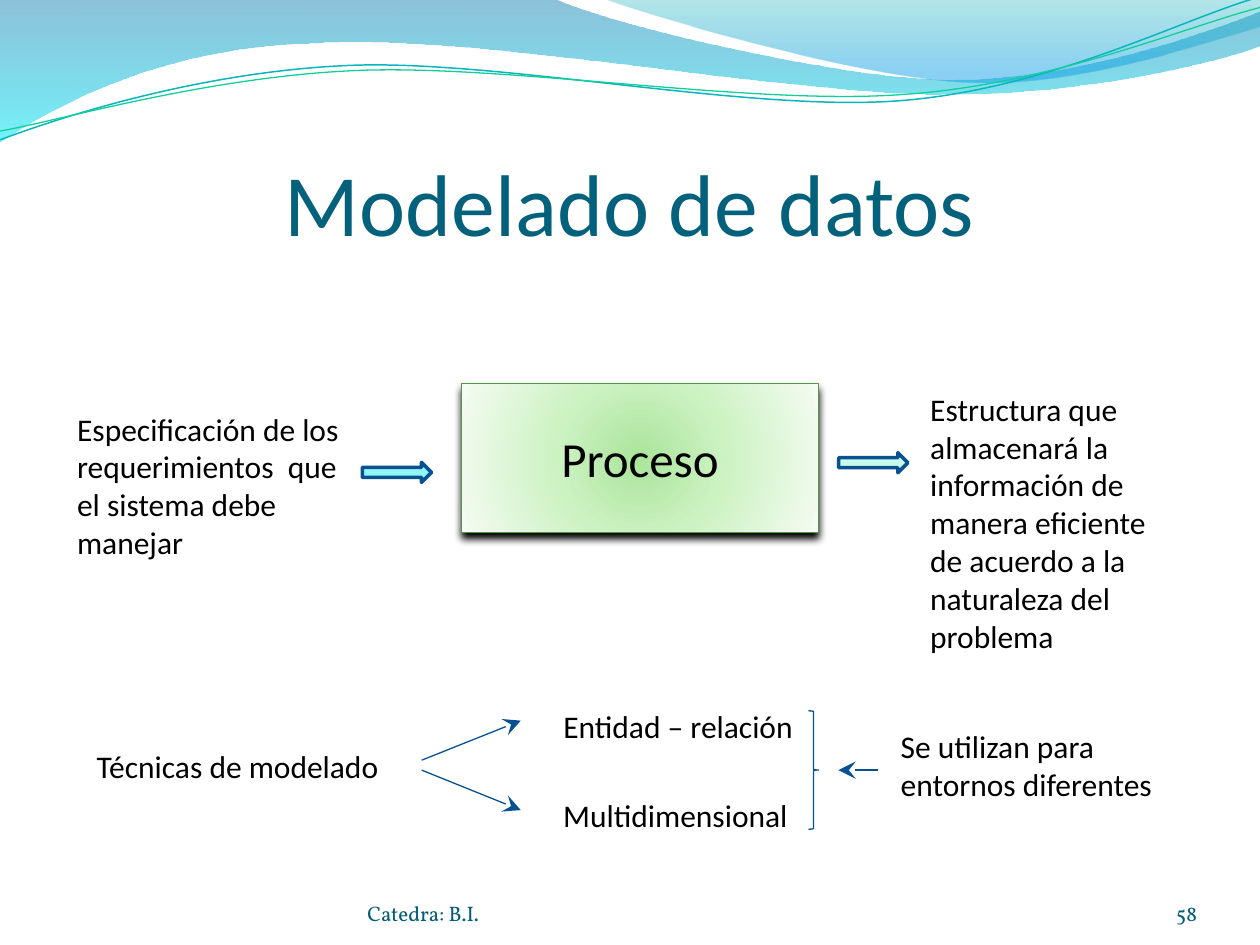
"""Builds the "Modelado de datos" slide."""
from dataclasses import dataclass
from math import cos, radians, sin
from typing import Optional

from lxml.etree import SubElement
from pptx import Presentation
from pptx.dml.color import RGBColor
from pptx.enum.shapes import MSO_CONNECTOR, MSO_SHAPE
from pptx.enum.text import MSO_ANCHOR, PP_ALIGN
from pptx.oxml.ns import qn
from pptx.util import Pt

BLACK = RGBColor(0x00, 0x00, 0x00)
TITLE_TEAL = RGBColor(0x04, 0x61, 0x7B)
FOOTER_TEAL = RGBColor(0x03, 0x5C, 0x75)
LINE_BLUE = RGBColor(0x07, 0x51, 0x92)
ARROW_EDGE = RGBColor(0x0A, 0x51, 0x90)
INPUT_FILL = RGBColor(0x92, 0xF6, 0xF9)
OUTPUT_FILL = RGBColor(0xC8, 0xFB, 0xEC)
PROCESS_EDGE = RGBColor(0x59, 0x94, 0x45)
WAVE_TEAL = RGBColor(0x09, 0xB6, 0xBE)
WAVE_GREEN = RGBColor(0x10, 0xCF, 0x9B)
DEEP_BLUE = RGBColor(0x00, 0x79, 0xAD)
CYAN = RGBColor(0x00, 0xE9, 0xF7)
TEAL = RGBColor(0x00, 0xAB, 0xB4)
SKY = RGBColor(0x00, 0x99, 0xE4)
GREEN_CORE = RGBColor(0xAB, 0xE4, 0x9C)
GREEN_MID = RGBColor(0xCC, 0xF2, 0xC2)
GREEN_PALE = RGBColor(0xEF, 0xFA, 0xEC)
GREEN_RIM = RGBColor(0xF7, 0xFF, 0xF7)

TILT = 357.3
INSETS = (7.2, 3.6, 7.2, 3.6)
FLUSH = (0, 0, 0, 0)


@dataclass
class Label:
    """Text with its frame and its look."""
    text: str
    left: float
    top: float
    width: float
    height: float
    size: float = 18
    font: str = "Calibri"
    color: RGBColor = BLACK
    align: PP_ALIGN = PP_ALIGN.LEFT
    anchor: MSO_ANCHOR = MSO_ANCHOR.TOP
    insets: tuple = INSETS


@dataclass
class Stop:
    """Gradient stop; position and opacity in percent."""
    position: float
    color: RGBColor
    opacity: float = 100


@dataclass
class Wave:
    """Outline whose pieces are lines (x, y) or cubic curves (six numbers)."""
    start: tuple
    pieces: list
    stops: Optional[list] = None
    color: Optional[RGBColor] = None
    weight: float = 0
    pivot: Optional[tuple] = None


@dataclass
class Arrow:
    """Thin arrow between two points."""
    start: tuple
    end: tuple


@dataclass
class Block:
    """Block arrow pointing right."""
    left: float
    top: float
    fill: RGBColor


WAVES = [
    Wave((0, 0), [
        (316.8, -0.7), (342.7, 12.2, 478.1, 45.4, 545.8, 45.4),
        (614.2, 45.4, 689.8, 18.7, 720, 6.5), (720.7, 25.9),
        (707.8, 31.7, 626.4, 54.7, 537.1, 54), (447.8, 54, 275, 20.2, 185, 24.5),
        (92.9, 25.9, 33.1, 59.8, -0.7, 81.4),
    ], stops=[Stop(0, DEEP_BLUE, 45), Stop(100, CYAN, 55)]),
    Wave((344.9, -0.7), [
        (366.5, 7.9, 491, 44.6, 553.7, 46.8),
        (616.3, 49.7, 691.9, 23, 720, 15.1), (720, 0),
    ], stops=[Stop(0, TEAL, 30), Stop(80, SKY, 45), Stop(100, SKY, 45)]),
    Wave((0, 79.9), [
        (34.6, 67, 113.8, 41, 199.4, 37.4), (284.4, 33.8, 427, 64.1, 513.4, 57.6),
        (599.8, 51.1, 675.4, 10.8, 718.6, -1.4),
    ], color=WAVE_TEAL, weight=0.85, pivot=(359.3, 41.4)),
    Wave((0, 74.9), [
        (33.8, 69.1, 118.1, 43.9, 203.8, 40.3), (290.2, 36.7, 429.8, 60.5, 516.2, 54),
        (601.9, 48.2, 677.5, 15.1, 720, 4.3),
    ], color=WAVE_GREEN, weight=0.75, pivot=(359.6, 42.5)),
]
FOOTER = dict(size=12, font="Vollkorn", color=FOOTER_TEAL,
              anchor=MSO_ANCHOR.BOTTOM, insets=FLUSH)
LABELS = [
    Label("Modelado de datos", 36, 55.4, 648, 90, 50, color=TITLE_TEAL,
          align=PP_ALIGN.CENTER, anchor=MSO_ANCHOR.BOTTOM, insets=(0, 3.6, 0, 0)),
    Label("Catedra: B.I.", 210, 500.4, 264.2, 28.8, **FOOTER),
    Label("58", 624.2, 500.4, 59.8, 28.8, align=PP_ALIGN.RIGHT, **FOOTER),
    Label("Especificación de los requerimientos  que el sistema debe manejar",
          37, 207.4, 175.7, 116.6, anchor=MSO_ANCHOR.BOTTOM),
    Label("Estructura que almacenará la información de manera eficiente "
          "de acuerdo a la naturaleza del problema", 524.5, 219.2, 158.4, 159.8),
    Label("Técnicas de modelado", 48.2, 423.4, 187.2, 28.8),
    Label("Entidad – relación", 314.8, 400.3, 164.2, 28.8),
    Label("Multidimensional", 314.8, 451.4, 158.4, 28.8),
    Label("Se utilizan para entornos diferentes", 507.6, 411.8, 175.7, 51.1),
]
PROCESS = Label("Proceso", 263.8, 219.2, 203.8, 85, 28,
                align=PP_ALIGN.CENTER, anchor=MSO_ANCHOR.MIDDLE)
PROCESS_STOPS = [Stop(0, GREEN_CORE), Stop(43, GREEN_MID),
                 Stop(93, GREEN_PALE), Stop(100, GREEN_RIM)]
BLOCKS = [Block(207, 264.2, INPUT_FILL), Block(479.2, 258.7, OUTPUT_FILL)]
ARROWS = [Arrow((241, 434.4), (297.6, 411.8)), Arrow((241, 440.1), (297.6, 462.9)),
          Arrow((501.8, 440.1), (479.1, 440.1))]


def level(point: tuple, pivot: Optional[tuple]) -> tuple:
    """Undo the tilt of a point about a pivot and return it as lengths."""
    x, y = point
    if pivot:
        turn = radians(360 - TILT)
        dx, dy = x - pivot[0], y - pivot[1]
        x = pivot[0] + dx * cos(turn) - dy * sin(turn)
        y = pivot[1] + dx * sin(turn) + dy * cos(turn)
    return Pt(x), Pt(y)


def bend(shape, pieces: list) -> None:
    """Turn each run of three segments that forms a curve into a cubic."""
    segments = iter(list(shape.element.iter(qn("a:lnTo"))))
    for piece in pieces:
        group = [next(segments) for _ in range(len(piece) // 2)]
        if len(group) == 3:
            curve = group[0].makeelement(qn("a:cubicBezTo"), {})
            group[0].addprevious(curve)
            for segment in group:
                curve.append(segment[0])
                segment.getparent().remove(segment)


def fill_gradient(shape, stops: list, radial: bool = False) -> None:
    """Fill a shape with a gradient running down or out from the centre."""
    shape.fill.solid()
    solid = shape.element.spPr.find(qn("a:solidFill"))
    gradient = solid.makeelement(qn("a:gradFill"), {"rotWithShape": "1"})
    shape.element.spPr.replace(solid, gradient)
    stop_list = SubElement(gradient, qn("a:gsLst"))
    for stop in stops:
        node = SubElement(stop_list, qn("a:gs"), pos=str(stop.position * 1000))
        color = SubElement(node, qn("a:srgbClr"), val=str(stop.color))
        if stop.opacity < 100:
            SubElement(color, qn("a:alpha"), val=str(stop.opacity * 1000))
    if radial:
        focus = SubElement(gradient, qn("a:path"), path="circle")
        SubElement(focus, qn("a:fillToRect"), l="50000", t="50000", r="50000", b="50000")
    else:
        SubElement(gradient, qn("a:lin"), ang="5400000", scaled="1")


def set_line(shape, color: RGBColor, weight: float) -> None:
    """Set a line's colour and weight."""
    shape.line.color.rgb = color
    shape.line.width = Pt(weight)


def draw_wave(page, wave: Wave) -> None:
    """Draw a filled band or an open curve."""
    points = [level(piece[i:i + 2], wave.pivot)
              for piece in wave.pieces for i in range(0, len(piece), 2)]
    builder = page.shapes.build_freeform(*level(wave.start, wave.pivot))
    builder.add_line_segments(points, close=wave.stops is not None)
    shape = builder.convert_to_shape()
    bend(shape, wave.pieces)
    shape.shadow.inherit = False
    if wave.stops:
        fill_gradient(shape, wave.stops)
        shape.line.fill.background()
    else:
        shape.rotation = TILT
        shape.fill.background()
        set_line(shape, wave.color, wave.weight)


def write_text(shape, label: Label) -> None:
    """Write a label's text into a shape."""
    frame = shape.text_frame
    frame.word_wrap = True
    frame.vertical_anchor = label.anchor
    (frame.margin_left, frame.margin_top,
     frame.margin_right, frame.margin_bottom) = map(Pt, label.insets)
    para = frame.paragraphs[0]
    para.alignment = label.align
    span = para.add_run()
    span.text = label.text
    span.font.size = Pt(label.size)
    span.font.name = label.font
    span.font.color.rgb = label.color


def draw_label(page, label: Label) -> None:
    """Draw a text box."""
    box = page.shapes.add_textbox(*map(Pt, (label.left, label.top, label.width, label.height)))
    write_text(box, label)


def draw_preset(page, kind: MSO_SHAPE, frame: tuple, color: RGBColor, weight: float):
    """Draw an outlined preset shape and return it."""
    shape = page.shapes.add_shape(kind, *map(Pt, frame))
    shape.shadow.inherit = False
    set_line(shape, color, weight)
    return shape


def draw_process(page, label: Label) -> None:
    """Draw the shaded process box."""
    box = draw_preset(page, MSO_SHAPE.RECTANGLE,
                      (label.left, label.top, label.width, label.height), PROCESS_EDGE, 0.75)
    fill_gradient(box, PROCESS_STOPS, radial=True)
    effects = box.element.spPr.find(qn("a:effectLst"))
    shade = SubElement(effects, qn("a:outerShdw"), blurRad=str(Pt(4.5)), dist=str(Pt(3)),
                       dir="5400000", rotWithShape="0")
    SubElement(shade, qn("a:srgbClr"), val=str(BLACK))
    write_text(box, label)


def draw_block(page, block: Block) -> None:
    """Draw a block arrow."""
    shape = draw_preset(page, MSO_SHAPE.RIGHT_ARROW,
                        (block.left, block.top, 39.6, 11.5), ARROW_EDGE, 2)
    shape.fill.solid()
    shape.fill.fore_color.rgb = block.fill


def draw_arrow(page, arrow: Arrow) -> None:
    """Draw a thin line with a stealth head at its end."""
    line = page.shapes.add_connector(MSO_CONNECTOR.STRAIGHT,
                                     *map(Pt, arrow.start + arrow.end))
    set_line(line, LINE_BLUE, 0.75)
    outline = line.element.spPr.find(qn("a:ln"))
    SubElement(outline, qn("a:tailEnd"), type="stealth", w="lg", len="lg")
    SubElement(line.element.spPr, qn("a:effectLst"))


def main() -> None:
    """Build and save the deck."""
    deck = Presentation()
    deck.slide_width, deck.slide_height = Pt(720), Pt(540)
    page = deck.slides.add_slide(deck.slide_layouts[6])
    for wave in WAVES:
        draw_wave(page, wave)
    title, footer, number, *notes = LABELS
    for label in (title, footer, number):
        draw_label(page, label)
    draw_process(page, PROCESS)
    for label in notes:
        draw_label(page, label)
    for block in BLOCKS:
        draw_block(page, block)
    for arrow in ARROWS:
        draw_arrow(page, arrow)
    brace = draw_preset(page, MSO_SHAPE.RIGHT_BRACE, (462, 406.2, 5.8, 67.7), LINE_BLUE, 0.75)
    brace.fill.background()
    brace.adjustments[0] = 0.08
    deck.save("out.pptx")


if __name__ == "__main__":
    main()
